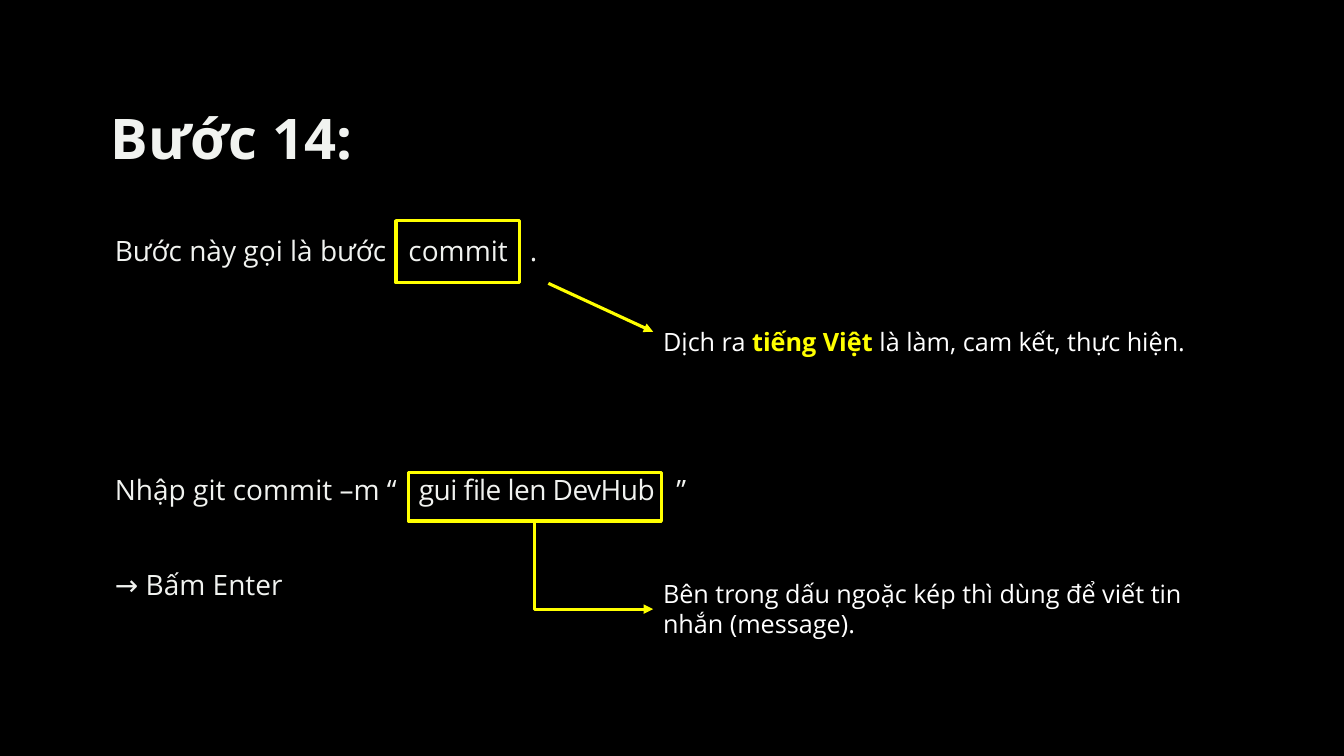
"""Builds the slide for step 14: the commit command and its message."""
from dataclasses import dataclass

from lxml.etree import SubElement
from pptx import Presentation
from pptx.dml.color import RGBColor
from pptx.enum.shapes import MSO_CONNECTOR, MSO_SHAPE
from pptx.enum.text import MSO_ANCHOR, MSO_AUTO_SIZE, PP_ALIGN
from pptx.oxml.ns import qn
from pptx.util import Cm, Pt


@dataclass(frozen=True)
class Theme:
    font: str = "Open Sans"
    background: RGBColor = RGBColor(0x00, 0x00, 0x00)
    text: RGBColor = RGBColor(0xF1, 0xF3, 0xF0)
    note: RGBColor = RGBColor(0xFF, 0xFF, 0xFF)
    accent: RGBColor = RGBColor(0xFF, 0xFF, 0x00)
    title_size: Pt = Pt(40)
    body_size: Pt = Pt(20)
    note_size: Pt = Pt(18)
    line_width: Pt = Pt(2.25)
    wide_gap: str = "1040"
    tight: str = "-40"
    normal: str = "0"


theme = Theme()


def format_run(run, size, color, bold=False):
    run.font.name = theme.font
    run.font.size = size
    run.font.color.rgb = color
    run.font.bold = bold


def style_arrow(arrow):
    arrow.line.color.rgb = theme.accent
    arrow.line.width = theme.line_width
    properties = arrow.element.spPr
    SubElement(properties.find(qn("a:ln")), qn("a:tailEnd"), type="triangle")
    SubElement(properties, qn("a:effectLst"))


deck = Presentation()
deck.slide_width, deck.slide_height = Cm(33.87), Cm(19.05)
slide = deck.slides.add_slide(deck.slide_layouts[1])
slide.background.fill.solid()
slide.background.fill.fore_color.rgb = theme.background

heading = slide.shapes.title
heading.left, heading.top, heading.width, heading.height = Cm(2.54), Cm(1.7), Cm(28.75), Cm(3.51)
heading.text_frame.text = "Bước 14:"
heading.text_frame.vertical_anchor = MSO_ANCHOR.MIDDLE
heading.text_frame.paragraphs[0].alignment = PP_ALIGN.LEFT
format_run(heading.text_frame.paragraphs[0].runs[0], theme.title_size, theme.text, True)

steps = slide.placeholders[1]
steps.left, steps.top, steps.width, steps.height = Cm(2.54), Cm(5.75), Cm(28.75), Cm(10.31)
steps.text_frame.auto_size = MSO_AUTO_SIZE.NONE
step_lines = [
    (0, [("Bước này gọi là bước", theme.normal), (" ", theme.wide_gap),
         ("commit", theme.normal), (" ", theme.wide_gap), (".", theme.normal)]),
    (141, [("Nhập git commit –m “", theme.normal), (" ", theme.wide_gap),
           ("gui file len DevHub", theme.tight), (" ", theme.wide_gap), ("”", theme.normal)]),
    (37.6, [("→ Bấm Enter", theme.normal)]),
]
for index, (gap, parts) in enumerate(step_lines):
    step = steps.text_frame.add_paragraph() if index else steps.text_frame.paragraphs[0]
    step.space_before, step.space_after = Pt(gap), Pt(6)
    properties = step._p.get_or_add_pPr()
    properties.set("marL", str(Cm(0.1)))
    properties.set("indent", "0")
    SubElement(properties, qn("a:buNone"))
    for words, spacing in parts:
        run = step.add_run()
        run.text = words
        format_run(run, theme.body_size, theme.text)
        run._r.get_or_add_rPr().set("spc", spacing)

frames = []
for left, top, width, height in [(9.98, 5.56, 3.12, 1.57), (10.29, 11.91, 6.38, 1.22)]:
    frame = slide.shapes.add_shape(MSO_SHAPE.RECTANGLE, Cm(left), Cm(top), Cm(width), Cm(height))
    frame.shadow.inherit = False
    frame.fill.background()
    frame.line.color.rgb = theme.accent
    frame.line.width = theme.line_width
    frames.append(frame)
commit_frame, message_frame = frames

notes = []
for top, width, height, parts in [
    (8.1, 15.57, 1.02, [("Dịch ra ", False), ("tiếng Việt ", True),
                        ("là làm, cam kết, thực hiện.", False)]),
    (14.45, 14.5, 1.8, [("Bên trong dấu ngoặc kép thì dùng để viết tin nhắn (message).", False)]),
]:
    note = slide.shapes.add_textbox(Cm(16.46), Cm(top), Cm(width), Cm(height))
    note.text_frame.word_wrap = True
    for words, stressed in parts:
        run = note.text_frame.paragraphs[0].add_run()
        run.text = words
        format_run(run, theme.note_size, theme.accent if stressed else theme.note, stressed)
    notes.append(note)
translation_note, message_note = notes

translation_arrow = slide.shapes.add_connector(
    MSO_CONNECTOR.STRAIGHT, Cm(13.82), Cm(7.14), Cm(16.46), Cm(8.36))
style_arrow(translation_arrow)

message_arrow = slide.shapes.add_connector(
    MSO_CONNECTOR.ELBOW, Cm(13.48), Cm(13.13), Cm(16.46), Cm(15.35))
message_arrow.begin_connect(message_frame, 2)
message_arrow.end_connect(message_note, 1)
message_arrow.left, message_arrow.top = Cm(13.86), Cm(12.75)
message_arrow.width, message_arrow.height = Cm(2.22), Cm(2.98)
turn = message_arrow.element.spPr.find(qn("a:xfrm"))
turn.set("rot", "16200000")
turn.set("flipH", "1")
message_arrow.element.spPr.find(qn("a:prstGeom")).set("prst", "bentConnector2")
style_arrow(message_arrow)

deck.save("out.pptx")
